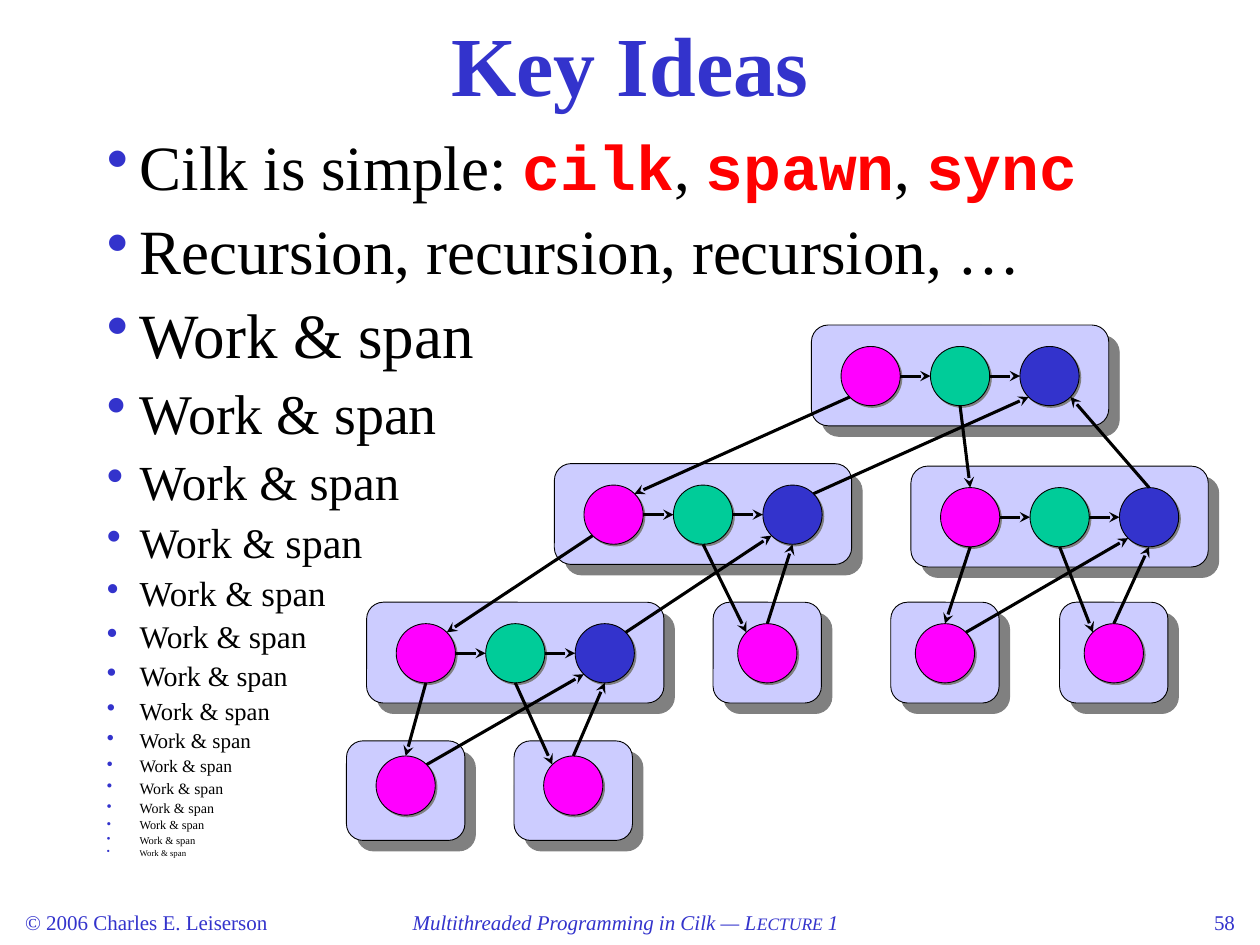
from dataclasses import dataclass
from math import sqrt

from lxml.etree import SubElement
from pptx import Presentation
from pptx.dml.color import RGBColor as Rgb
from pptx.enum.shapes import MSO_CONNECTOR as Conn, MSO_SHAPE as Shape
from pptx.enum.text import MSO_ANCHOR as Anchor, PP_ALIGN as Align
from pptx.oxml.ns import qn
from pptx.util import Inches, Pt

HUES = {"blue": "3333CC", "pink": "FF00FF", "green": "00CC99", "pale": "CCCCFF",
        "red": "FF0000", "black": "000000", "gray": "808080"}
SERIF, MONO = "Times New Roman", "Courier New"
DISC, PITCH = 0.47, 0.71
DIAG = 1 / sqrt(2)
SIDES = {"n": (0, -1), "s": (0, 1), "e": (1, 0), "w": (-1, 0),
         "ne": (DIAG, -DIAG), "se": (DIAG, DIAG), "sw": (-DIAG, DIAG)}
TRIO, SOLO = ("pink", "green", "blue"), ("pink",)


@dataclass
class Run:
    text: str
    size: float
    hue: str = "blue"
    font: str = SERIF
    bold: bool = False
    slant: bool = False


@dataclass
class Frame:
    name: str
    x: float
    y: float
    wide: float
    high: float
    drop: float
    hues: tuple


@dataclass
class Link:
    start: str
    out: str
    end: str
    into: str


FRAMES = [
    Frame("top", 6.44, 2.58, 2.36, 0.8, 0.17, TRIO),
    Frame("left", 4.4, 3.68, 2.36, 0.8, 0.17, TRIO),
    Frame("right", 7.23, 3.7, 2.36, 0.8, 0.17, TRIO),
    Frame("low", 2.91, 4.78, 2.36, 0.8, 0.17, TRIO),
    Frame("mid", 5.66, 4.78, 0.86, 0.8, 0.17, SOLO),
    Frame("near", 7.07, 4.78, 0.86, 0.8, 0.17, SOLO),
    Frame("far", 8.41, 4.78, 0.86, 0.8, 0.17, SOLO),
    Frame("base", 2.75, 5.88, 0.94, 0.79, 0.12, SOLO),
    Frame("leaf", 4.08, 5.88, 0.94, 0.79, 0.12, SOLO),
]
# Each parent spawns a first and a second child, and both return to its last disc.
LINKS = [
    Link("top0", "sw", "left0", "ne"), Link("left2", "ne", "top2", "sw"),
    Link("top1", "s", "right0", "n"), Link("right2", "n", "top2", "se"),
    Link("left0", "sw", "low0", "ne"), Link("low2", "ne", "left2", "sw"),
]
for head, first, second in (("left", None, "mid"), ("right", "near", "far"),
                            ("low", "base", "leaf")):
    if first:
        LINKS += [Link(f"{head}0", "s", f"{first}0", "n"),
                  Link(f"{first}0", "ne", f"{head}2", "sw")]
    LINKS += [Link(f"{head}1", "s", f"{second}0", "nw"),
              Link(f"{second}0", "n", f"{head}2", "s")]
SIDES["nw"] = (-DIAG, -DIAG)


def rgb(hue: str) -> Rgb:
    return Rgb.from_string(HUES[hue])


def add_runs(para, runs: list[Run]) -> None:
    for item in runs:
        run = para.add_run()
        run.text = item.text
        font = run.font
        font.size, font.name = Pt(item.size), item.font
        font.bold, font.italic = item.bold, item.slant
        font.color.rgb = rgb(item.hue)


def add_box(slide, x: float, y: float, wide: float, high: float):
    box = slide.shapes.add_textbox(Inches(x), Inches(y), Inches(wide), Inches(high))
    box.text_frame.word_wrap = True
    return box.text_frame


def add_line(slide, area: tuple, runs: list[Run], align=Align.LEFT,
             anchor=Anchor.TOP) -> None:
    """Put a single line of text in a box of its own."""
    frame = add_box(slide, *area)
    frame.vertical_anchor = anchor
    para = frame.paragraphs[0]
    para.alignment = align
    add_runs(para, runs)


def add_bullet(para) -> None:
    props = para._p.get_or_add_pPr()
    props.set("marL", str(Inches(0.26)))
    props.set("indent", str(Inches(-0.26)))
    color = SubElement(props, qn("a:buClr"))
    SubElement(color, qn("a:srgbClr"), val=HUES["blue"])
    SubElement(props, qn("a:buChar"), char="•")


def add_list(slide, rows: list[list[Run]]) -> None:
    frame = add_box(slide, 0.75, 1.03, 8.5, 5.93)
    for i, runs in enumerate(rows):
        para = frame.add_paragraph() if i else frame.paragraphs[0]
        add_bullet(para)
        para.line_spacing = 0.9
        para.space_before = Pt(runs[0].size / 4 if i else 0)
        add_runs(para, runs)


def add_form(slide, kind, area: tuple, hue: str, depth: float) -> None:
    """Draw a filled shape with a hard shadow, depth points to the lower right."""
    form = slide.shapes.add_shape(kind, *map(Inches, area))
    form.fill.solid()
    form.fill.fore_color.rgb = rgb(hue)
    form.line.color.rgb = rgb("black")
    form.line.width = Pt(0.5)
    form.shadow.inherit = False
    cast = SubElement(form._element.spPr.find(qn("a:effectLst")), qn("a:outerShdw"),
                      dist=str(Pt(depth)), dir="2700000", algn="ctr", rotWithShape="0")
    SubElement(cast, qn("a:srgbClr"), val=HUES["gray"])


def add_discs(slide, frame: Frame) -> dict:
    """Draw the discs centred in a frame and return their centres by name."""
    spots = {}
    y = frame.y + frame.drop
    for i, hue in enumerate(frame.hues):
        x = frame.x + (frame.wide - DISC) / 2 + (i - (len(frame.hues) - 1) / 2) * PITCH
        add_form(slide, Shape.OVAL, (x, y, DISC, DISC), hue, 1.4)
        spots[f"{frame.name}{i}"] = (x + DISC / 2, y + DISC / 2)
    return spots


def rim(spot: tuple, side: str) -> list:
    return [Inches(mid + step * DISC / 2) for mid, step in zip(spot, SIDES[side])]


def add_arrow(slide, link: Link, spots: dict) -> None:
    line = slide.shapes.add_connector(Conn.STRAIGHT, *rim(spots[link.start], link.out),
                                      *rim(spots[link.end], link.into))
    line.line.color.rgb = rgb("black")
    line.line.width = Pt(1.75)
    SubElement(line.line._get_or_add_ln(), qn("a:tailEnd"), type="stealth")
    SubElement(line._element.spPr, qn("a:effectLst"))


def main() -> None:
    deck = Presentation()
    deck.slide_width, deck.slide_height = Inches(10), Inches(7.5)
    slide = deck.slides.add_slide(deck.slide_layouts[6])

    add_line(slide, (0, 0, 10, 1), [Run("Key Ideas", 48, bold=True)],
             Align.CENTER, Anchor.MIDDLE)
    intro = [Run("Cilk is simple: ", 36, "black")]
    for i, word in enumerate(("cilk", "spawn", "sync")):
        if i:
            intro.append(Run(", ", 36, "black"))
        intro.append(Run(word, 36, "red", MONO, True))
    sizes = (36, 32, 28, 24, 20, 18, 16, 14, 12, 10, 9, 8, 7, 6, 5)
    add_list(slide, [intro, [Run("Recursion, recursion, recursion, …", 36, "black")]]
             + [[Run("Work & span", size, "black")] for size in sizes])

    spots = {}
    for frame in FRAMES:
        area = (frame.x, frame.y, frame.wide, frame.high)
        add_form(slide, Shape.ROUNDED_RECTANGLE, area, "pale", 8.5)
    for frame in FRAMES:
        spots |= add_discs(slide, frame)
    steps = [Link(f"{frame.name}{i}", "e", f"{frame.name}{i + 1}", "w")
             for frame in FRAMES for i in range(len(frame.hues) - 1)]
    for link in steps + LINKS:
        add_arrow(slide, link, spots)

    add_line(slide, (0.1, 7.17, 2.42, 0.33), [Run("© 2006 Charles E. Leiserson", 12)])
    add_line(slide, (2.63, 7.17, 4.67, 0.33),
             [Run("Multithreaded Programming in Cilk — L", 12, slant=True),
              Run("ECTURE", 10, slant=True), Run(" 1", 12, slant=True)], Align.CENTER)
    add_line(slide, (7.4, 7.17, 2.5, 0.33), [Run("58", 12)], Align.RIGHT)
    deck.save("out.pptx")


if __name__ == "__main__":
    main()
